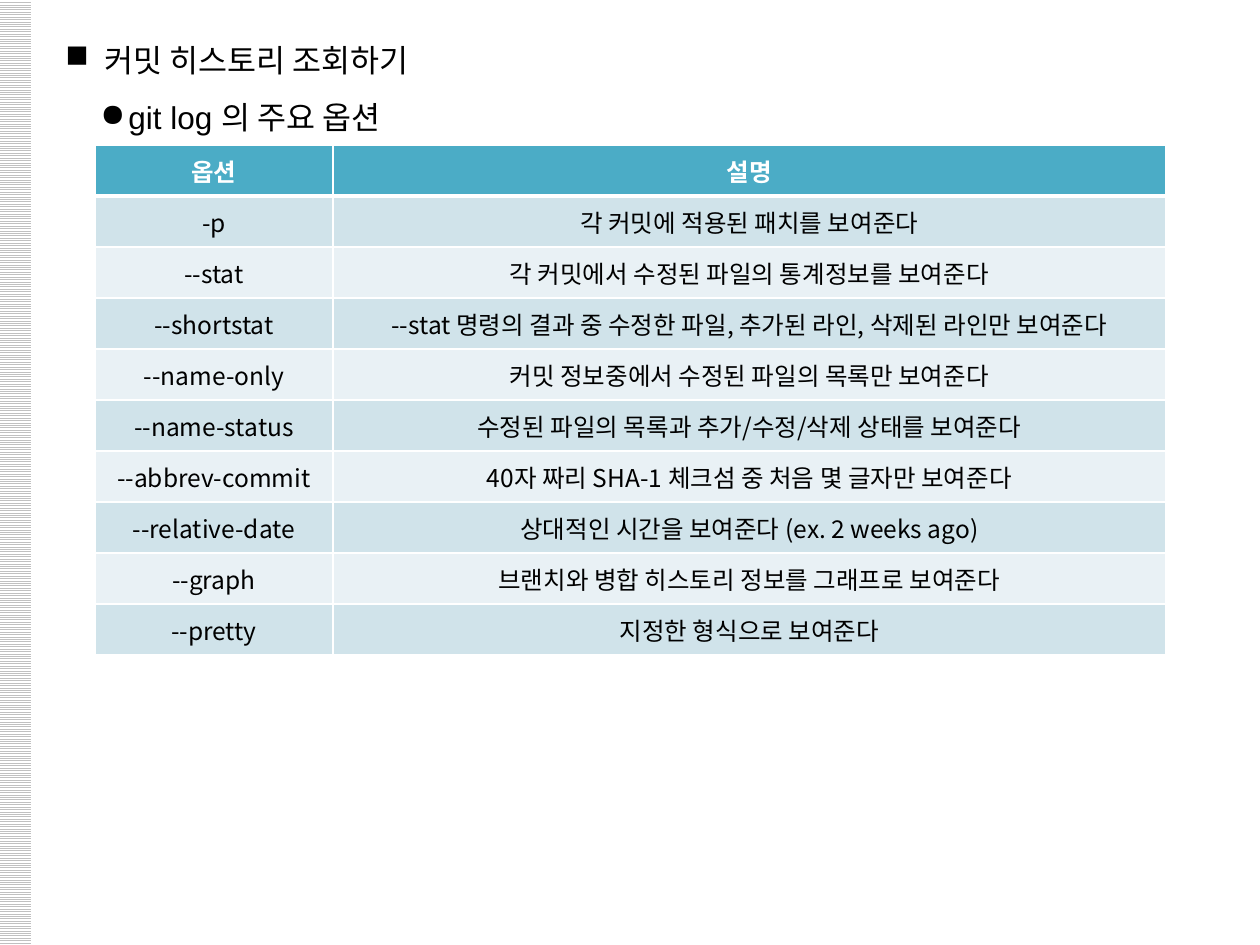
from lxml import etree
from pptx import Presentation
from pptx.dml.color import RGBColor
from pptx.enum.dml import MSO_PATTERN
from pptx.enum.shapes import MSO_SHAPE
from pptx.enum.text import MSO_ANCHOR, PP_ALIGN
from pptx.oxml.ns import qn
from pptx.util import Pt

PX = 914400 // 126
RECTANGLE = MSO_SHAPE.RECTANGLE
STRIPES = MSO_PATTERN.LIGHT_HORIZONTAL
LEFT, CENTER = PP_ALIGN.LEFT, PP_ALIGN.CENTER
MIDDLE = MSO_ANCHOR.MIDDLE
LATIN, KOREAN = "Arial", "Noto Sans CJK KR"
COLORS = {
    "text": "000000",
    "white": "FFFFFF",
    "stripe": "C0C0C0",
    "header": "4BACC6",
    "odd": "D0E3EA",
    "even": "E9F1F5",
}
ROW_HEIGHT = 51
COLUMN_WIDTHS = (238, 833)
OPTIONS = [
    ("옵션", "설명"),
    ("-p", "각 커밋에 적용된 패치를 보여준다"),
    ("--stat", "각 커밋에서 수정된 파일의 통계정보를 보여준다"),
    ("--shortstat", "--stat 명령의 결과 중 수정한 파일, 추가된 라인, 삭제된 라인만 보여준다"),
    ("--name-only", "커밋 정보중에서 수정된 파일의 목록만 보여준다"),
    ("--name-status", "수정된 파일의 목록과 추가/수정/삭제 상태를 보여준다"),
    ("--abbrev-commit", "40자 짜리 SHA-1 체크섬 중 처음 몇 글자만 보여준다"),
    ("--relative-date", "상대적인 시간을 보여준다 (ex. 2 weeks ago)"),
    ("--graph", "브랜치와 병합 히스토리 정보를 그래프로 보여준다"),
    ("--pretty", "지정한 형식으로 보여준다"),
]


def px(*lengths):
    return [length * PX for length in lengths]


def rgb(name):
    return RGBColor.from_string(COLORS[name])


def write(para, text, size=14, font=KOREAN, color="text", bold=False, align=LEFT):
    para.alignment = align
    span = para.add_run()
    span.text = text
    span.font.size = Pt(size)
    span.font.name = font
    span.font.bold = bold
    span.font.color.rgb = rgb(color)
    east_asian = etree.SubElement(span.font._element, qn("a:ea"))
    east_asian.set("typeface", KOREAN)


def set_bullet(para, char, margin, hanging):
    properties = para._p.get_or_add_pPr()
    properties.set("marL", str(margin * PX))
    properties.set("indent", str(-hanging * PX))
    etree.SubElement(properties, qn("a:buChar")).set("char", char)


def add_striped_band(page):
    band = page.shapes.add_shape(RECTANGLE, *px(-1, 0, 32, 945))
    band.shadow.inherit = False
    band.fill.patterned()
    band.fill.pattern = STRIPES
    band.fill.fore_color.rgb = rgb("stripe")
    band.fill.back_color.rgb = rgb("white")
    band.line.fill.background()


def add_headings(page):
    frame = page.shapes.add_textbox(*px(53, 16, 410, 120)).text_frame
    frame.word_wrap = True
    headings = [
        ("■", "커밋 히스토리 조회하기", 39, 39),
        ("●", "git log 의 주요 옵션", 63, 28),
    ]
    for index, (char, text, margin, hanging) in enumerate(headings):
        para = frame.add_paragraph() if index else frame.paragraphs[0]
        para.line_spacing = 1.5
        set_bullet(para, char, margin, hanging)
        write(para, text, size=18, font=LATIN)


def set_borders(cell, **widths):
    properties = cell._tc.get_or_add_tcPr()
    for side in ("L", "R", "T", "B"):
        line = etree.SubElement(properties, qn(f"a:ln{side}"))
        line.set("w", str(Pt(widths.get(side, 1))))
        fill = etree.SubElement(line, qn("a:solidFill"))
        etree.SubElement(fill, qn("a:srgbClr")).set("val", COLORS["white"])


def add_option_table(page):
    size = px(sum(COLUMN_WIDTHS), ROW_HEIGHT * len(OPTIONS))
    frame = page.shapes.add_table(len(OPTIONS), len(COLUMN_WIDTHS), *px(95, 145), *size)
    table = frame.table
    for column, width in zip(table.columns, px(*COLUMN_WIDTHS)):
        column.width = width
    for index, texts in enumerate(OPTIONS):
        table.rows[index].height = ROW_HEIGHT * PX
        is_header = index == 0
        fill = "header" if is_header else "odd" if index % 2 else "even"
        # A thick rule separates the header from the options
        rules = {"B": 3} if is_header else {"T": 3} if index == 1 else {}
        for cell, text in zip(table.rows[index].cells, texts):
            set_borders(cell, **rules)
            cell.fill.solid()
            cell.fill.fore_color.rgb = rgb(fill)
            cell.vertical_anchor = MIDDLE
            write(cell.text_frame.paragraphs[0], text, bold=is_header,
                  color="white" if is_header else "text", align=CENTER)


def main():
    deck = Presentation()
    deck.slide_width, deck.slide_height = px(1260, 945)
    page = deck.slides.add_slide(deck.slide_layouts[6])
    add_striped_band(page)
    add_headings(page)
    add_option_table(page)
    deck.save("out.pptx")


if __name__ == "__main__":
    main()
